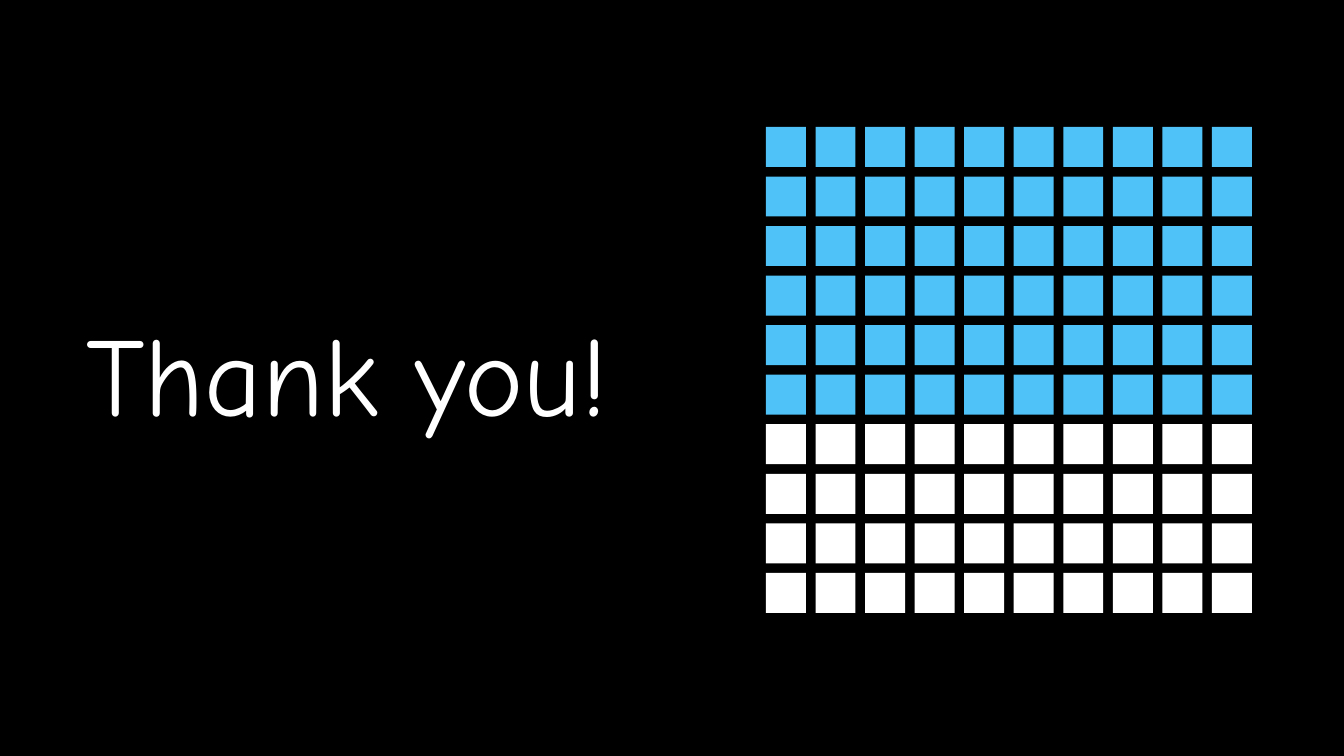
from pptx import Presentation
from pptx.dml.color import RGBColor
from pptx.enum.shapes import MSO_SHAPE as Shape
from pptx.enum.text import MSO_ANCHOR as Anchor, MSO_AUTO_SIZE as Fit, PP_ALIGN as Align
from pptx.util import Pt

BLACK = RGBColor(0x00, 0x00, 0x00)
WHITE = RGBColor(0xFF, 0xFF, 0xFF)
BLUE = RGBColor(0x4F, 0xC3, 0xF7)

SCALE = 914400 / 134.4  # EMU per px
COUNT = 10  # squares per row and column
BLUE_ROWS = 6
SIDE = 40
SPAN = 446  # from the first square's edge to the last one's


def px(n):
    return round(n * SCALE)


def apply(target, values):
    for name, value in values.items():
        setattr(target, name, value)


def set_title(slide, text, left, top, width, height):
    title = slide.shapes.title
    apply(title, dict(left=px(left), top=px(top),
                      width=px(width), height=px(height)))
    frame = title.text_frame
    frame.text = text
    pad = px(13)
    apply(frame, dict(margin_left=pad, margin_right=pad,
                      margin_top=pad, margin_bottom=pad, word_wrap=True,
                      auto_size=Fit.NONE, vertical_anchor=Anchor.MIDDLE))
    para = frame.paragraphs[0]
    apply(para, dict(alignment=Align.LEFT, space_before=Pt(0),
                     space_after=Pt(10)))
    font = para.runs[0].font
    apply(font, dict(name="Comic Neue", size=Pt(60), bold=False))
    font.color.rgb = WHITE


def add_square(group, left, top, color):
    square = group.shapes.add_shape(
        Shape.RECTANGLE, left, top, px(SIDE), px(SIDE))
    square.shadow.inherit = False
    square.fill.solid()
    square.fill.fore_color.rgb = color
    square.line.fill.background()


def add_grid(slide, left, top):
    group = slide.shapes.add_group_shape()
    steps = [px(SPAN) * i // (COUNT - 1) for i in range(COUNT)]
    for row, down in enumerate(steps):
        color = BLUE if row < BLUE_ROWS else WHITE
        for across in steps:
            add_square(group, px(left) + across, px(top) + down, color)


def main():
    deck = Presentation()
    apply(deck, dict(slide_width=px(1344), slide_height=px(756)))
    slide = deck.slides.add_slide(deck.slide_layouts[5])
    back = slide.background.fill
    back.solid()
    back.fore_color.rgb = BLACK
    set_title(slide, "Thank you!", 73, 71, 652, 601)
    add_grid(slide, 766, 127)
    deck.save("out.pptx")


if __name__ == "__main__":
    main()
